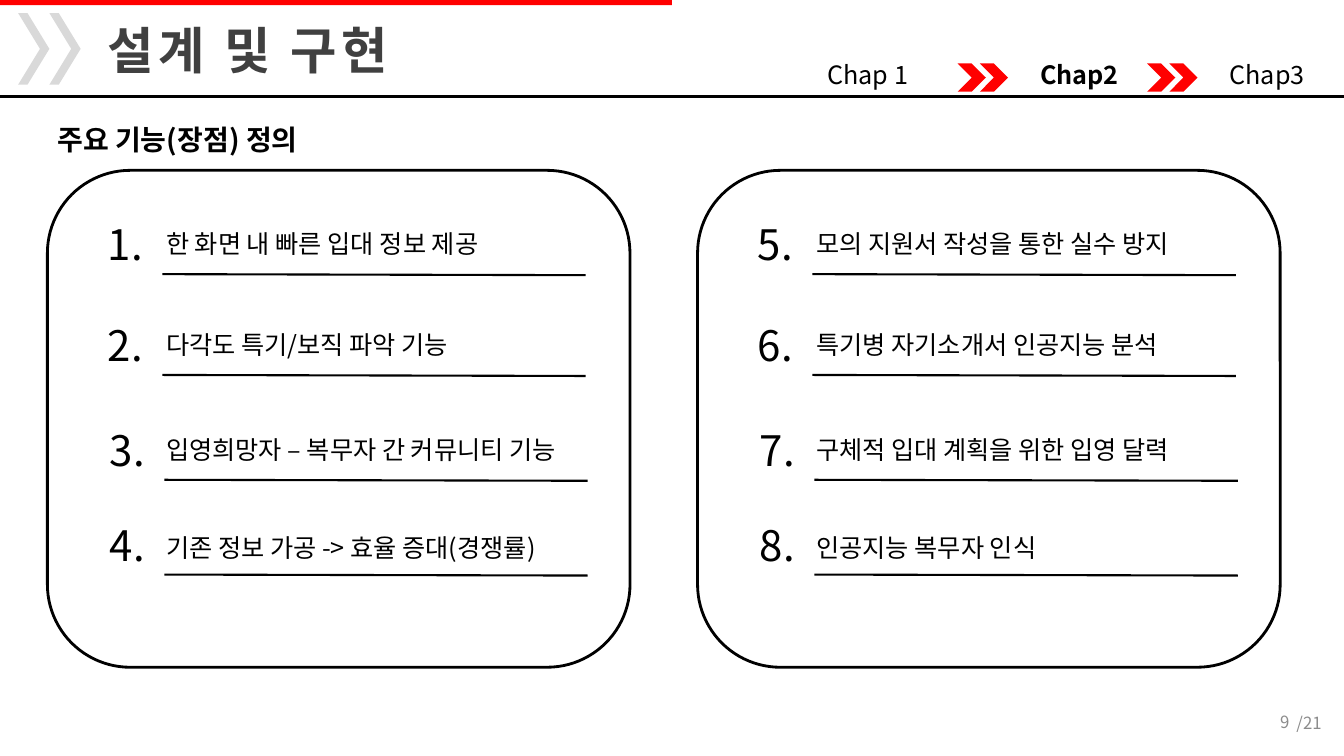
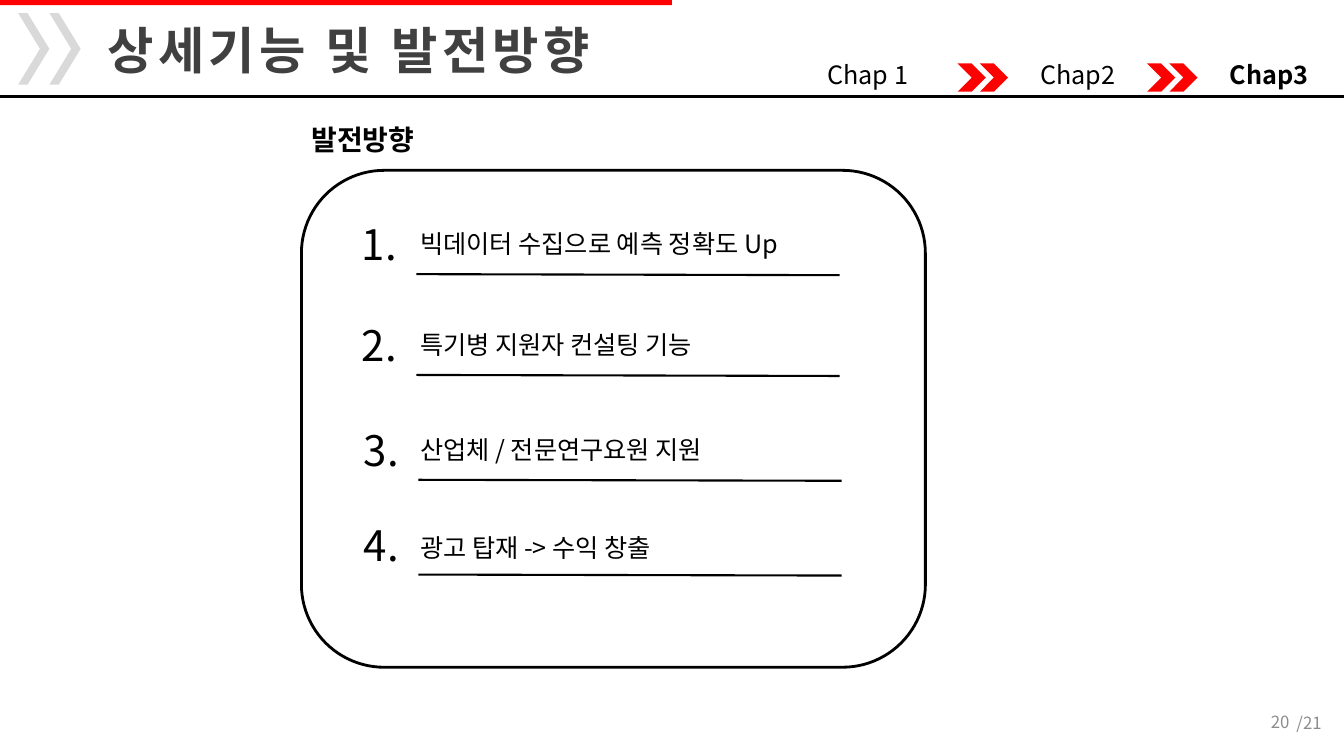
from dataclasses import dataclass

from lxml.etree import SubElement
from pptx import Presentation
from pptx.dml.color import RGBColor
from pptx.enum.shapes import MSO_CONNECTOR, MSO_SHAPE
from pptx.enum.text import MSO_ANCHOR, MSO_AUTO_SIZE, PP_ALIGN
from pptx.oxml.ns import qn
from pptx.util import Inches, Pt

RECT = MSO_SHAPE.RECTANGLE
ROUND = MSO_SHAPE.ROUNDED_RECTANGLE
CHEVRON = MSO_SHAPE.CHEVRON
STRAIGHT = MSO_CONNECTOR.STRAIGHT
TOP, MIDDLE = MSO_ANCHOR.TOP, MSO_ANCHOR.MIDDLE
LEFT, RIGHT = PP_ALIGN.LEFT, PP_ALIGN.RIGHT
FIXED = MSO_AUTO_SIZE.NONE

# All lengths are counted in grid columns and rows, ten to the inch.
CELL = Inches(0.1)
WIDE, HIGH = 133.33, 75
COLORS = {"ink": "000000", "title": "404040", "accent": "FF0000",
          "mark": "D9D9D9", "page": "8C8C8C"}
BODY, HEAD = "Noto Sans CJK KR", "League Spartan"
CHAPS = ("Chap 1", "Chap2", "Chap3")
TABS = (21.1, 39.9)
TOTAL = 21


@dataclass(frozen=True)
class Row:
    top: float
    drop: float
    shift: float


@dataclass(frozen=True)
class Panel:
    left: float
    width: float
    first: int
    items: tuple[str, ...]


@dataclass(frozen=True)
class Page:
    number: int
    title: str
    chap: int
    topic: str
    panels: tuple[Panel, ...]


ROWS = (Row(21.2, 1, 0), Row(31.2, 1, 0), Row(41.6, 1, 0.2), Row(51, 1.3, 0.2))

PAGES = (
    Page(9, "설계 및 구현", 1, "주요 기능(장점) 정의", (
        Panel(4.7, 57.8, 1, (
            "한 화면 내 빠른 입대 정보 제공",
            "다각도 특기/보직 파악 기능",
            "입영희망자 – 복무자 간 커뮤니티 기능",
            "기존 정보 가공 -> 효율 증대(경쟁률)")),
        Panel(69.2, 57.8, 5, (
            "모의 지원서 작성을 통한 실수 방지",
            "특기병 자기소개서 인공지능 분석",
            "구체적 입대 계획을 위한 입영 달력",
            "인공지능 복무자 인식")))),
    Page(20, "상세기능 및 발전방향", 2, "발전방향", (
        Panel(29.9, 61.9, 1, (
            "빅데이터 수집으로 예측 정확도 Up",
            "특기병 지원자 컨설팅 기능",
            "산업체 / 전문연구요원 지원",
            "광고 탑재 -> 수익 창출")),)),
)


def cells(*counts: float) -> list[int]:
    return [round(count * CELL) for count in counts]


def paint(name: str) -> RGBColor:
    return RGBColor.from_string(COLORS[name])


def write(frame, text: str, *, size: float = 18, bold: bool = False,
          color: str = "ink", font: str = BODY, space: float = 0,
          align=LEFT) -> None:
    """Append one formatted run to the frame's first paragraph."""
    para = frame.paragraphs[0]
    para.alignment = align
    run = para.add_run()
    run.text = text
    run.font.size = Pt(size)
    run.font.bold = bold
    run.font.color.rgb = paint(color)
    run.font.name = font
    props = run.font._element
    SubElement(props, qn("a:ea")).set("typeface", BODY)
    if space:
        props.set("spc", str(round(space * 100)))


def frame(slide, left: float, top: float, width: float, height: float,
          anchor=TOP):
    box = slide.shapes.add_textbox(*cells(left, top, width, height))
    box.text_frame.word_wrap = True
    box.text_frame.vertical_anchor = anchor
    return box.text_frame


def shape(slide, kind, left: float, top: float, width: float, height: float,
          fill: str = "", line: str = "", bend: float | None = None) -> None:
    item = slide.shapes.add_shape(kind, *cells(left, top, width, height))
    item.shadow.inherit = False
    if bend is not None:
        item.adjustments[0] = bend
    if fill:
        item.fill.solid()
        item.fill.fore_color.rgb = paint(fill)
    else:
        item.fill.background()
    if line:
        item.line.color.rgb = paint(line)
        item.line.width = Pt(2)
    else:
        item.line.fill.background()


def rule(slide, left: float, top: float, right: float, end: float,
         weight: float) -> None:
    line = slide.shapes.add_connector(STRAIGHT, *cells(left, top, right, end))
    line.line.color.rgb = paint("ink")
    line.line.width = Pt(weight)
    SubElement(line._element.spPr, qn("a:effectLst"))


def head(slide, page: Page) -> None:
    """Draw the title band and the chapter trail."""
    rule(slide, 0, 9.6, WIDE, 9.6, 2)
    shape(slide, RECT, 0, 0, WIDE / 2, 0.5, fill="accent")
    for step in range(2):
        shape(slide, CHEVRON, 1.8 + 3.1 * step, 1.3, 3.1, 7.1,
              fill="mark", bend=0.7)
        for left in (95, 113.8):
            shape(slide, CHEVRON, left + 2.2 * step, 6.3, 2.8, 2.8,
                  fill="accent")

    title = slide.shapes.title
    title.left, title.top, title.width, title.height = cells(9.7, 1.4, 65, 7.1)
    text = title.text_frame
    text.auto_size = FIXED
    text.vertical_anchor = TOP
    write(text, page.title, size=36, bold=True, color="title", font=HEAD,
          space=3)

    trail = frame(slide, 81.1, 5.4, 52.2, 4)
    for index, chap in enumerate(CHAPS):
        lead = "\t" if index else ""
        write(trail, lead + chap, bold=index == page.chap)
    stops = SubElement(trail.paragraphs[0]._p.get_or_add_pPr(), qn("a:tabLst"))
    for place in cells(*TABS):
        stop = SubElement(stops, qn("a:tab"))
        stop.set("pos", str(place))
        stop.set("algn", "l")


def foot(slide, page: Page) -> None:
    for text, left, top, height in ((f"{page.number}", 97.8, 69.6, 4),
                                    (f"/{TOTAL}", 101, 69, 5.4)):
        write(frame(slide, left, top, 31.1, height, MIDDLE), text,
              size=12, color="page", align=RIGHT)


def fill(slide, panel: Panel) -> None:
    """Draw a rounded panel with its numbered, underlined items."""
    left = panel.left
    shape(slide, ROUND, left, 16.9, panel.width, 49.3, line="ink")
    for index, (row, item) in enumerate(zip(ROWS, panel.items)):
        start, base = left + 11.4 + row.shift, row.top + 6
        rule(slide, start, base, start + 42, base + 0.1, 1.5)
        write(frame(slide, left + 5 + row.shift, row.top, 6.8, 6.1),
              f"{panel.first + index}.", size=30)
        write(frame(slide, left + 10.8, row.top + row.drop, 46, 4), item)


def main() -> None:
    deck = Presentation()
    deck.slide_width, deck.slide_height = cells(WIDE, HIGH)
    for page in PAGES:
        slide = deck.slides.add_slide(deck.slide_layouts[5])
        head(slide, page)
        write(frame(slide, page.panels[0].left, 11.7, 28.9, 4.4),
              page.topic, size=20, bold=True)
        for panel in page.panels:
            fill(slide, panel)
        foot(slide, page)
    deck.save("out.pptx")


if __name__ == "__main__":
    main()
